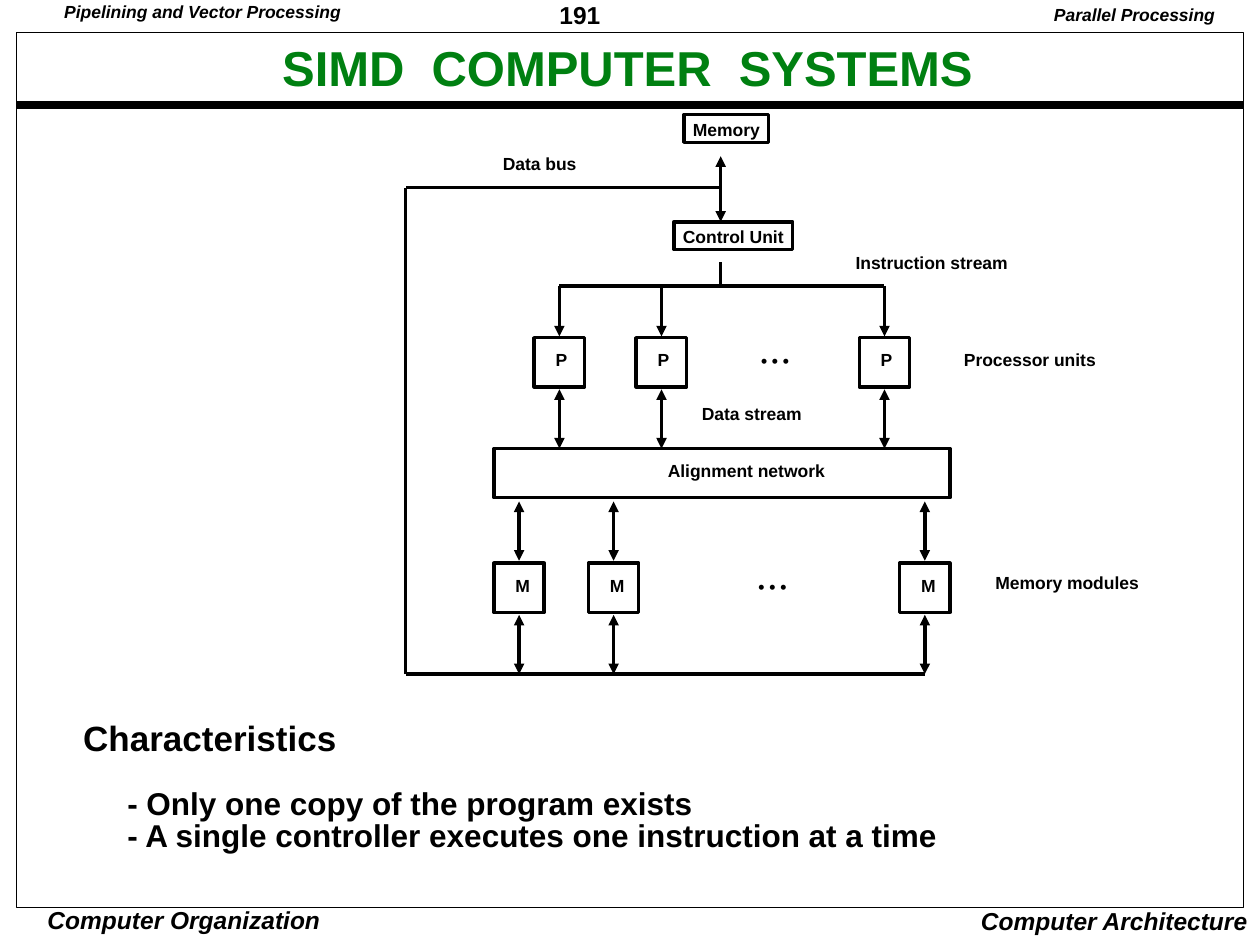
from pptx import Presentation
from pptx import util as u
from pptx.dml.color import RGBColor
from pptx.enum import shapes, text
from pptx.oxml.ns import qn
from lxml import etree

COLORS = {"ink": "000000", "title": "008011"}
FONT = "Arial"
WIDTH, HEIGHT = 10, 7.5
LEFT, CENTER, RIGHT = text.PP_ALIGN.LEFT, text.PP_ALIGN.CENTER, text.PP_ALIGN.RIGHT
NARROW, WIDE = (0.07, 0.03), (0.1, 0.05)

TITLE = "SIMD  COMPUTER  SYSTEMS"
CHARACTERISTICS = [
    ("Characteristics", 20, 0, 0),
    ("- Only one copy of the program exists", 18, 0.35, 17.5),
    ("- A single controller executes one instruction at a time", 18, 0.35, 0),
]
RUNNING_TEXTS = [
    ("191", (4.37, 0, 1.08, 0.29), 14, False, LEFT, NARROW),
    ("Computer Organization", (0.35, 7.2, 2.22, 0.26), 14, True, CENTER, (0.03, 0.01)),
    ("Computer Architecture", (7.68, 7.17, 2.32, 0.33), 14, True, RIGHT, WIDE),
    ("Parallel Processing", (8.26, 0, 1.48, 0.25), 10, True, RIGHT, WIDE),
    ("Pipelining and Vector Processing", (0.44, 0, 2.34, 0.21), 10, True, LEFT, NARROW),
]
UNITS = [
    ("Memory", (5.43, 0.91, 0.67, 0.22)),
    ("Control Unit", (5.35, 1.76, 0.94, 0.22)),
]
LABELS = [
    ("Data bus", 3.92, 1.2, 0.72),
    ("Instruction stream", 6.72, 1.99, 1.35),
    ("Processor units", 7.58, 2.76, 1.19),
    ("• • •", 5.97, 2.77, 0.36),
    ("Data stream", 5.5, 3.19, 0.93),
    ("Alignment network", 5.23, 3.64, 1.38),
    ("Memory modules", 7.83, 4.53, 1.28),
    ("• • •", 5.95, 4.56, 0.36),
]
TILE_WIDTH, TILE_HEIGHT, LABEL_HEIGHT = 0.4, 0.39, 0.21
TILE_ROWS = [
    ("P", (4.24, 5.05, 6.82), 2.68, 0.23),
    ("M", (3.92, 4.67, 7.14), 4.47, 0.25),
]
CONTROL_X, BUS_X = 5.72, 3.22
BUS_TOP, INSTRUCTION_Y, NETWORK_TOP, BUS_BOTTOM = 1.49, 2.27, 3.56, 5.35
NETWORK_LEFT, NETWORK_WIDTH = 3.92, 3.62

presentation = Presentation()
presentation.slide_width, presentation.slide_height = u.Inches(WIDTH), u.Inches(HEIGHT)
slide = presentation.slides.add_slide(presentation.slide_layouts[1])


def color(name):
    return RGBColor.from_string(COLORS[name])


def place(shape, box):
    shape.left, shape.top, shape.width, shape.height = map(u.Inches, box)


def set_frame(frame, insets=NARROW, wrap=False, anchor=text.MSO_ANCHOR.TOP):
    frame.auto_size = text.MSO_AUTO_SIZE.NONE
    frame.word_wrap = wrap
    frame.vertical_anchor = anchor
    frame.margin_left = frame.margin_right = u.Inches(insets[0])
    frame.margin_top = frame.margin_bottom = u.Inches(insets[1])


def write(paragraph, words, size, italic=False, align=LEFT, spacing=0.9, ink="ink"):
    paragraph.text = words
    paragraph.alignment = align
    paragraph.line_spacing = spacing
    paragraph.space_before = u.Pt(0)
    font = paragraph.font
    font.name, font.size, font.bold, font.italic = FONT, u.Pt(size), True, italic
    font.color.rgb = color(ink)


def add_text(words, box, size=10, italic=False, align=LEFT, insets=NARROW):
    frame = slide.shapes.add_textbox(*map(u.Inches, box)).text_frame
    set_frame(frame, insets)
    write(frame.paragraphs[0], words, size, italic, align)


def add_box(box, weight=2, words=None):
    shape = slide.shapes.add_shape(shapes.MSO_SHAPE.RECTANGLE, *map(u.Inches, box))
    shape.shadow.inherit = False
    shape.fill.background()
    shape.line.color.rgb = color("ink")
    shape.line.width = u.Pt(weight)
    if words:
        set_frame(shape.text_frame)
        write(shape.text_frame.paragraphs[0], words, 10, spacing=1.01)


def add_line(start, end, ends=(), weight=2):
    line = slide.shapes.add_connector(
        shapes.MSO_CONNECTOR.STRAIGHT, *map(u.Inches, (*start, *end)))
    line.line.color.rgb = color("ink")
    line.line.width = u.Pt(weight)
    for end_name in ends:
        etree.SubElement(line.line._get_or_add_ln(), qn(f"a:{end_name}"), type="triangle")
    etree.SubElement(line._element.spPr, qn("a:effectLst"))


def add_arrow(x, top, bottom, both=True):
    add_line((x, top), (x, bottom), ("headEnd", "tailEnd") if both else ("tailEnd",))


def add_heading_and_body():
    title = slide.shapes.title
    place(title, (0.62, 0.26, 8.72, 0.6))
    set_frame(title.text_frame, WIDE, True, text.MSO_ANCHOR.MIDDLE)
    write(title.text_frame.paragraphs[0], TITLE, 28, align=CENTER, ink="title")

    body = slide.placeholders[1]
    place(body, (0.59, 5.71, 6.93, 1.1))
    set_frame(body.text_frame)
    for index, (words, size, indent, gap) in enumerate(CHARACTERISTICS):
        frame = body.text_frame
        paragraph = frame.add_paragraph() if index else frame.paragraphs[0]
        properties = paragraph._p.get_or_add_pPr()
        properties.set("marL", str(u.Inches(indent)))
        properties.set("indent", "0")
        etree.SubElement(properties, qn("a:buNone"))
        write(paragraph, words, size, spacing=0.85)
        if gap:
            paragraph.space_before = u.Pt(gap)


def add_page_frame():
    add_line((0.13, 0.83), (9.87, 0.83), weight=4.5)
    add_box((0.13, 0.26, 9.74, 6.94), 0.5)
    for words, box, size, italic, align, insets in RUNNING_TEXTS:
        add_text(words, box, size, italic, align, insets)


def add_diagram():
    for words, box in UNITS:
        add_box(box, words=words)
    add_box((NETWORK_LEFT, NETWORK_TOP, NETWORK_WIDTH, TILE_HEIGHT))
    for letter, lefts, top, label_width in TILE_ROWS:
        for left in lefts:
            add_box((left, top, TILE_WIDTH, TILE_HEIGHT))
            add_text(letter, (left + 0.1, top + 0.08, label_width, LABEL_HEIGHT))
    for words, left, top, width in LABELS:
        add_text(words, (left, top, width, LABEL_HEIGHT))

    (processors, processor_top), (modules, module_top) = [
        ([left + TILE_WIDTH / 2 for left in lefts], top) for _, lefts, top, _ in TILE_ROWS]
    for x in processors:
        add_arrow(x, INSTRUCTION_Y, processor_top - 0.01, both=False)
        add_arrow(x, processor_top + TILE_HEIGHT + 0.02, NETWORK_TOP)
    for x in modules:
        add_arrow(x, NETWORK_TOP + TILE_HEIGHT + 0.03, module_top - 0.02)
        add_arrow(x, module_top + TILE_HEIGHT + 0.02, BUS_BOTTOM)

    add_line((processors[0], INSTRUCTION_Y), (processors[-1], INSTRUCTION_Y))
    add_line((CONTROL_X, 2.08), (CONTROL_X, INSTRUCTION_Y))
    add_arrow(CONTROL_X, 1.24, 1.76)
    add_line((modules[-1], BUS_BOTTOM), (BUS_X, BUS_BOTTOM))
    add_line((BUS_X, BUS_BOTTOM), (BUS_X, BUS_TOP))
    add_line((CONTROL_X, BUS_TOP), (BUS_X, BUS_TOP))


if __name__ == "__main__":
    add_heading_and_body()
    add_page_frame()
    add_diagram()
    presentation.save("out.pptx")
